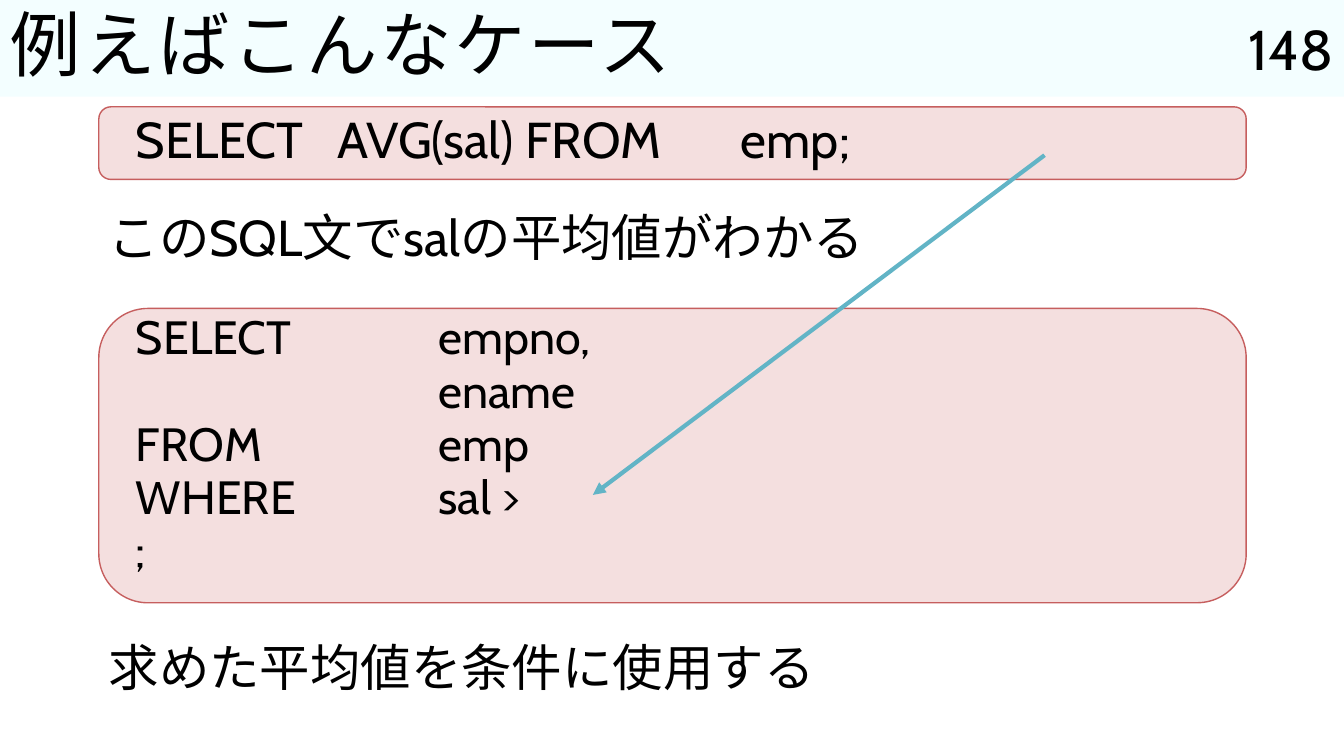
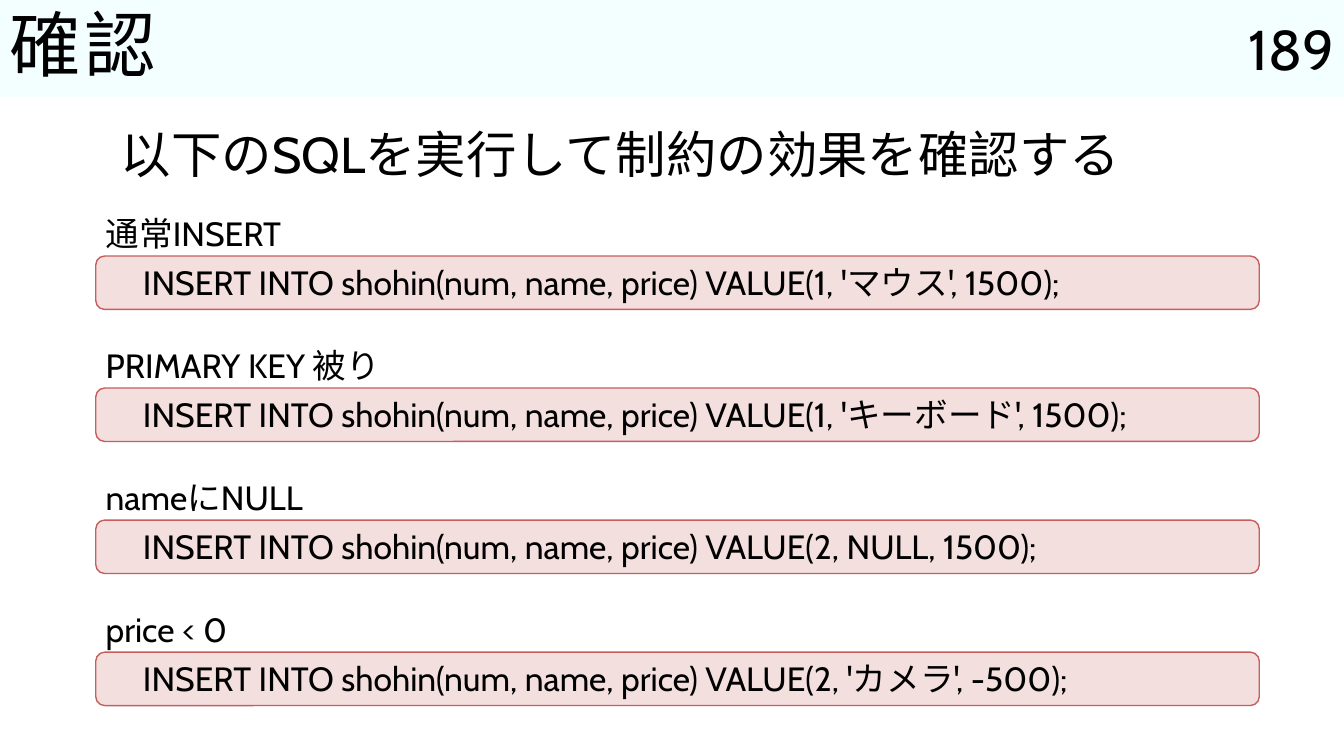
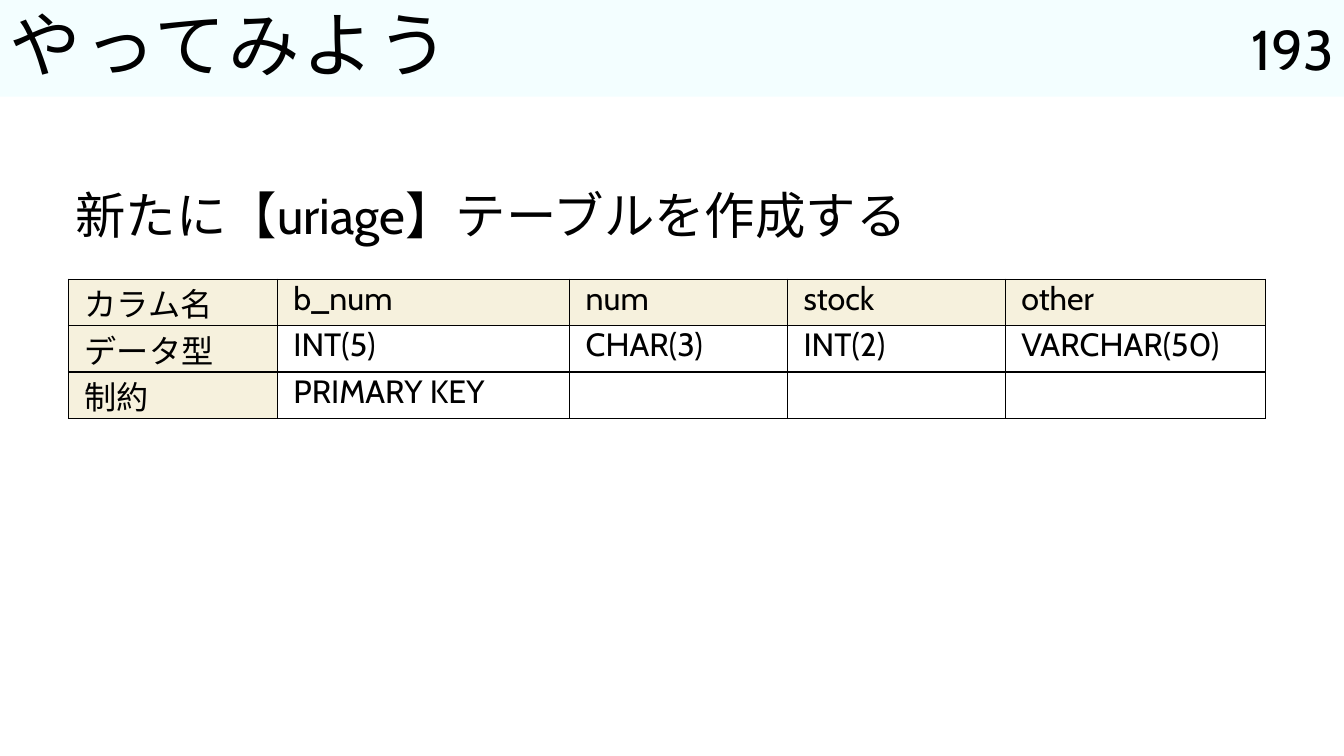
from dataclasses import dataclass

from lxml import etree
from pptx import Presentation
from pptx.dml.color import RGBColor
from pptx.enum import shapes, text
from pptx.oxml import ns
from pptx.util import Inches, Pt


@dataclass(frozen=True)
class Theme:
    font: str = "Cabin"
    ink: str = "000000"
    band: str = "F3FEFF"
    panel: str = "F4DFDF"
    panel_edge: str = "C65E5E"
    arrow: str = "62B4C6"
    header: str = "F6F1DD"
    title: float = 51
    number: float = 40
    body: float = 36
    query: float = 33.3
    small: float = 24
    cell: float = 23


THEME = Theme()
WIDTH, HEIGHT, BAND_HEIGHT = 13.33, 7.5, 0.96

# Content
CASE = {
    "title": "例えばこんなケース",
    "number": "148",
    "average": "SELECT\tAVG(sal) FROM\temp;",
    "meaning": "このSQL文でsalの平均値がわかる",
    "query": "SELECT\t\tempno,\n\t\t\tename\nFROM\t\temp\nWHERE\t\tsal >\n;",
    "usage": "求めた平均値を条件に使用する",
}
CHECK = {
    "title": "確認",
    "number": "189",
    "lead": "以下のSQLを実行して制約の効果を確認する",
    "inserts": [
        ("通常INSERT", "1, 'マウス', 1500"),
        ("PRIMARY KEY 被り", "1, 'キーボード', 1500"),
        ("nameにNULL", "2, NULL, 1500"),
        ("price < 0", "2, 'カメラ', -500"),
    ],
}
TRY = {
    "title": "やってみよう",
    "number": "193",
    "lead": "新たに【uriage】テーブルを作成する",
    "columns": [2.07, 2.9, 2.16, 2.16, 2.58],
    "rows": [
        ("カラム名", "b_num", "num", "stock", "other"),
        ("データ型", "INT(5)", "CHAR(3)", "INT(2)", "VARCHAR(50)"),
        ("制約", "PRIMARY KEY", "", "", ""),
    ],
}


# Shared helpers
def rgb(value):
    return RGBColor.from_string(value)


def write(frame, words, size, align=None, spacing=None, gap=0, tabs=0, tracking=0):
    """Fill a frame; gap is the space between paragraphs, tabs the inch stops."""
    frame.text = words
    for index, paragraph in enumerate(frame.paragraphs):
        if tabs:
            stops = etree.SubElement(paragraph._p.get_or_add_pPr(), ns.qn("a:tabLst"))
            for inch in range(1, tabs + 1):
                etree.SubElement(stops, ns.qn("a:tab"), pos=str(Inches(inch)), algn="l")
        paragraph.alignment = align or text.PP_ALIGN.LEFT
        if spacing:
            paragraph.line_spacing = spacing
        if index and gap:
            paragraph.space_before = Pt(gap)
        for run in paragraph.runs:
            run.font.name = THEME.font
            run.font.size = Pt(size)
            run.font.color.rgb = rgb(THEME.ink)
            if tracking:
                run._r.get_or_add_rPr().set("spc", str(tracking * 100))


def add_text(parent, box, words, size, anchor=text.MSO_ANCHOR.TOP, **style):
    frame = parent.add_textbox(*map(Inches, box)).text_frame
    frame.word_wrap = True
    frame.vertical_anchor = anchor
    write(frame, words, size, **style)


def add_box(parent, kind, box, fill, edge=None):
    shape = parent.add_shape(kind, *map(Inches, box))
    shape.shadow.inherit = False
    shape.fill.solid()
    shape.fill.fore_color.rgb = rgb(fill)
    if edge:
        shape.line.color.rgb = rgb(edge)
        shape.line.width = Pt(1)
    else:
        shape.line.fill.background()
    return shape


def add_code(slide, panel_box, code_box, code, size, **style):
    group = slide.shapes.add_group_shape().shapes
    add_box(group, shapes.MSO_SHAPE.ROUNDED_RECTANGLE, panel_box,
            THEME.panel, THEME.panel_edge)
    add_text(group, code_box, code, size, **style)


def add_slide(deck, content):
    slide = deck.slides.add_slide(deck.slide_layouts[6])
    band = add_box(slide.shapes, shapes.MSO_SHAPE.RECTANGLE,
                   (0, 0, WIDTH, BAND_HEIGHT), THEME.band).text_frame
    band.word_wrap = True
    band.vertical_anchor = text.MSO_ANCHOR.MIDDLE
    write(band, content["title"], THEME.title, spacing=0.9, tracking=2)
    add_text(slide.shapes, (WIDTH - 1.5, 0, 1.5, BAND_HEIGHT), content["number"],
             THEME.number, text.MSO_ANCHOR.MIDDLE, align=text.PP_ALIGN.RIGHT)
    return slide


def add_arrow(slide, start, end):
    arrow = slide.shapes.add_connector(
        shapes.MSO_CONNECTOR.STRAIGHT, *map(Inches, start + end))
    arrow.line.color.rgb = rgb(THEME.arrow)
    arrow.line.width = Pt(3)
    etree.SubElement(arrow.line._get_or_add_ln(), ns.qn("a:tailEnd"), type="triangle")
    etree.SubElement(arrow._element.spPr, ns.qn("a:effectLst"))


def style_cell(cell, words, filled):
    properties = cell._tc.get_or_add_tcPr()
    for side in ("lnL", "lnR", "lnT", "lnB"):
        border = etree.SubElement(properties, ns.qn("a:" + side), w=str(Pt(1)))
        paint = etree.SubElement(border, ns.qn("a:solidFill"))
        etree.SubElement(paint, ns.qn("a:srgbClr"), val=THEME.ink)
    if filled:
        cell.fill.solid()
        cell.fill.fore_color.rgb = rgb(THEME.header)
    else:
        cell.fill.background()
    cell.margin_left = cell.margin_right = Inches(0.16)
    cell.margin_top = cell.margin_bottom = 0
    write(cell.text_frame, words, THEME.cell, align=text.PP_ALIGN.JUSTIFY)


# Slides
def build_case(deck):
    slide = add_slide(deck, CASE)
    left, code_left, code_width = 0.98, 1.25, 11.11
    for top, words in ((2, CASE["meaning"]), (6.26, CASE["usage"])):
        add_text(slide.shapes, (left, top, 11.13, 0.72), words, THEME.body)
    add_code(slide, (left, 1.06, 11.38, 0.72), (code_left, 1.09, code_width, 0.69),
             CASE["average"], THEME.body, spacing=0.9, tabs=6)
    add_code(slide, (left, 3.06, 11.38, 2.92), (code_left, 3.16, code_width, 2.82),
             CASE["query"], THEME.query, spacing=0.7, gap=10, tabs=6)
    add_arrow(slide, (10.36, 1.54), (5.88, 4.91))


def build_check(deck):
    slide = add_slide(deck, CHECK)
    add_text(slide.shapes, (1.1, 1.17, 11.13, 0.72), CHECK["lead"], THEME.body)
    left, first_top, pitch, label_rise = 0.95, 2.54, 1.31, 0.52
    for index, (label, values) in enumerate(CHECK["inserts"]):
        top = first_top + index * pitch
        add_code(slide, (left, top, 11.54, 0.53), (1.32, top + 0.01, 11.06, 0.5),
                 f"INSERT INTO shohin(num, name, price) VALUE({values});", THEME.small)
        add_text(slide.shapes, (left, top - label_rise, 11.13, 0.53), label,
                 THEME.small, spacing=1.1)


def build_try(deck):
    slide = add_slide(deck, TRY)
    add_text(slide.shapes, (0.65, 1.72, 11.93, 0.96), TRY["lead"],
             THEME.body, spacing=1.1)
    rows, widths, row_height = TRY["rows"], TRY["columns"], 0.46
    box = (0.68, 2.77, sum(widths), row_height * len(rows))
    uriage = slide.shapes.add_table(len(rows), len(widths), *map(Inches, box)).table
    uriage.first_row = uriage.horz_banding = False
    for column, width in zip(uriage.columns, widths):
        column.width = Inches(width)
    for r, row in enumerate(rows):
        for c, words in enumerate(row):
            style_cell(uriage.cell(r, c), words, filled=r == 0 or c == 0)


def main():
    deck = Presentation()
    deck.slide_width, deck.slide_height = Inches(WIDTH), Inches(HEIGHT)
    for build in (build_case, build_check, build_try):
        build(deck)
    deck.save("out.pptx")


if __name__ == "__main__":
    main()
